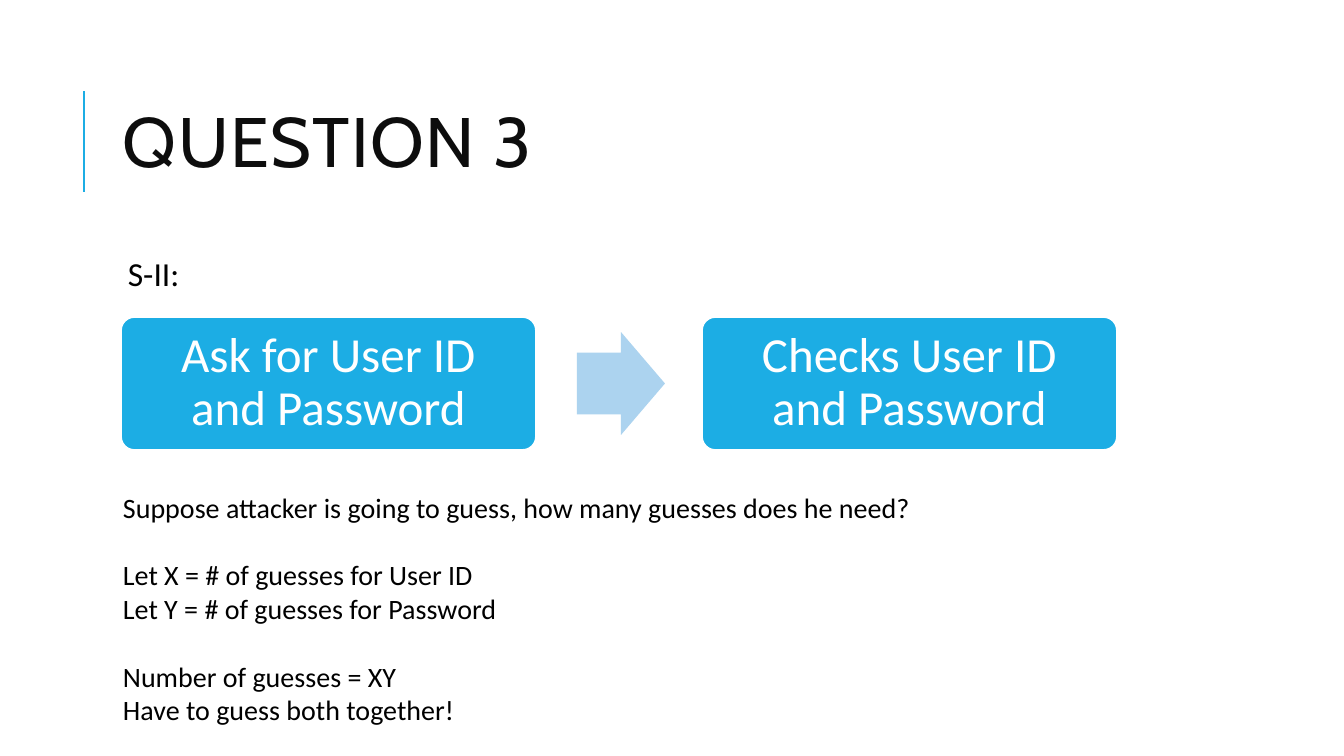
from lxml import etree
from pptx import Presentation
from pptx.dml.color import RGBColor
from pptx.enum.shapes import MSO_CONNECTOR, MSO_SHAPE
from pptx.enum.text import MSO_ANCHOR, MSO_AUTO_SIZE, PP_ALIGN
from pptx.oxml.ns import qn
from pptx.util import Pt

TOP, MIDDLE = MSO_ANCHOR.TOP, MSO_ANCHOR.MIDDLE
LEFT, CENTER = PP_ALIGN.LEFT, PP_ALIGN.CENTER
ROUNDED, ARROW = MSO_SHAPE.ROUNDED_RECTANGLE, MSO_SHAPE.RIGHT_ARROW
STRAIGHT, NO_AUTOFIT = MSO_CONNECTOR.STRAIGHT, MSO_AUTO_SIZE.NONE

TITLE = "QUESTION 3"
SCENARIO = "S-II:"
STEPS = ["Ask for User ID and Password", "Checks User ID and Password"]
EXPLANATION = [
    ["Suppose attacker is going to guess, how many guesses does he need?"],
    ["Let X = # of guesses for User ID", "Let Y = # of guesses for Password"],
    ["Number of guesses = XY", "Have to guess both together!"],
]
ACCENT, PALE, WHITE, BLACK, INK = "1CADE4", "ACD3EF", "FFFFFF", "000000", "0D0D0D"
BODY_FONT, TITLE_FONT = "Calibri", "Cabin"

SLIDE_WIDTH, SLIDE_HEIGHT = 1344, 756
MARGIN = 113
STEP_LEFT, STEP_TOP, STEP_WIDTH, STEP_HEIGHT = 121, 317, 415, 133
STEP_PITCH = 581
ARROW_WIDTH, ARROW_HEIGHT = 88, 103
ARROW_OFFSET = 456
GROUP_GAP = 24.4


def px(length):
    return round(length * 914400 / 100.8)


def box(*lengths):
    return [px(length) for length in lengths]


def color(value):
    return RGBColor.from_string(value)


def prepare_frame(shape, anchor, side, edge):
    frame = shape.text_frame
    frame.word_wrap = True
    frame.auto_size = NO_AUTOFIT
    frame.vertical_anchor = anchor
    frame.margin_left = frame.margin_right = px(side)
    frame.margin_top = frame.margin_bottom = px(edge)
    return frame


def write(paragraph, text, size, ink, font=BODY_FONT, align=LEFT, spacing=1.0):
    paragraph.alignment = align
    paragraph.line_spacing = spacing
    run = paragraph.add_run()
    run.text = text
    run.font.size = Pt(size)
    run.font.name = font
    run.font.color.rgb = color(ink)
    return run


def add_block(slide, kind, bounds, fill):
    shape = slide.shapes.add_shape(kind, *box(*bounds))
    shape.shadow.inherit = False
    shape.fill.solid()
    shape.fill.fore_color.rgb = color(fill)
    shape.line.fill.background()
    return shape


def add_heading(slide):
    rule = slide.shapes.add_connector(STRAIGHT, *box(84, 192, 84, 91))
    rule.line.color.rgb = color(ACCENT)
    rule.line.width = Pt(1.5)
    etree.SubElement(rule._element.spPr, qn("a:effectLst"))

    title = slide.shapes.title
    title.left, title.top, title.width, title.height = box(MARGIN, 65, 1071, 165)
    frame = prepare_frame(title, MIDDLE, 10, 5)
    run = write(frame.paragraphs[0], TITLE, 50, INK, TITLE_FONT, spacing=0.8)
    run.font._element.set("spc", "100")


def add_process(slide):
    label = slide.shapes.add_textbox(*box(MARGIN, 252, 1071, 50))
    frame = prepare_frame(label, TOP, 15, 5)
    write(frame.paragraphs[0], SCENARIO, 24, BLACK, spacing=0.9)

    for index, text in enumerate(STEPS):
        left = STEP_LEFT + index * STEP_PITCH
        bounds = (left, STEP_TOP, STEP_WIDTH, STEP_HEIGHT)
        step = add_block(slide, ROUNDED, bounds, ACCENT)
        step.adjustments[0] = 0.1
        step.line.color.rgb = color(WHITE)
        step.line.width = Pt(1.25)
        frame = prepare_frame(step, MIDDLE, 19, 19)
        write(frame.paragraphs[0], text, 35, WHITE, align=CENTER, spacing=0.9)

    arrow_top = STEP_TOP + (STEP_HEIGHT - ARROW_HEIGHT) / 2
    bounds = (STEP_LEFT + ARROW_OFFSET, arrow_top, ARROW_WIDTH, ARROW_HEIGHT)
    arrow = add_block(slide, ARROW, bounds, PALE)
    arrow.adjustments[0], arrow.adjustments[1] = 0.6, 0.5


def add_explanation(slide):
    explanation = slide.shapes.add_textbox(*box(MARGIN, 485, 1118, 248))
    frame = prepare_frame(explanation, TOP, 10, 5)
    paragraph = frame.paragraphs[0]
    for group_index, group in enumerate(EXPLANATION):
        for line_index, text in enumerate(group):
            if group_index or line_index:
                paragraph = frame.add_paragraph()
            if group_index and not line_index:
                paragraph.space_before = Pt(GROUP_GAP)
            write(paragraph, text, 20, BLACK)


def main():
    presentation = Presentation()
    presentation.slide_width, presentation.slide_height = box(SLIDE_WIDTH, SLIDE_HEIGHT)
    slide = presentation.slides.add_slide(presentation.slide_layouts[5])
    add_heading(slide)
    add_process(slide)
    add_explanation(slide)
    presentation.save("out.pptx")


if __name__ == "__main__":
    main()
